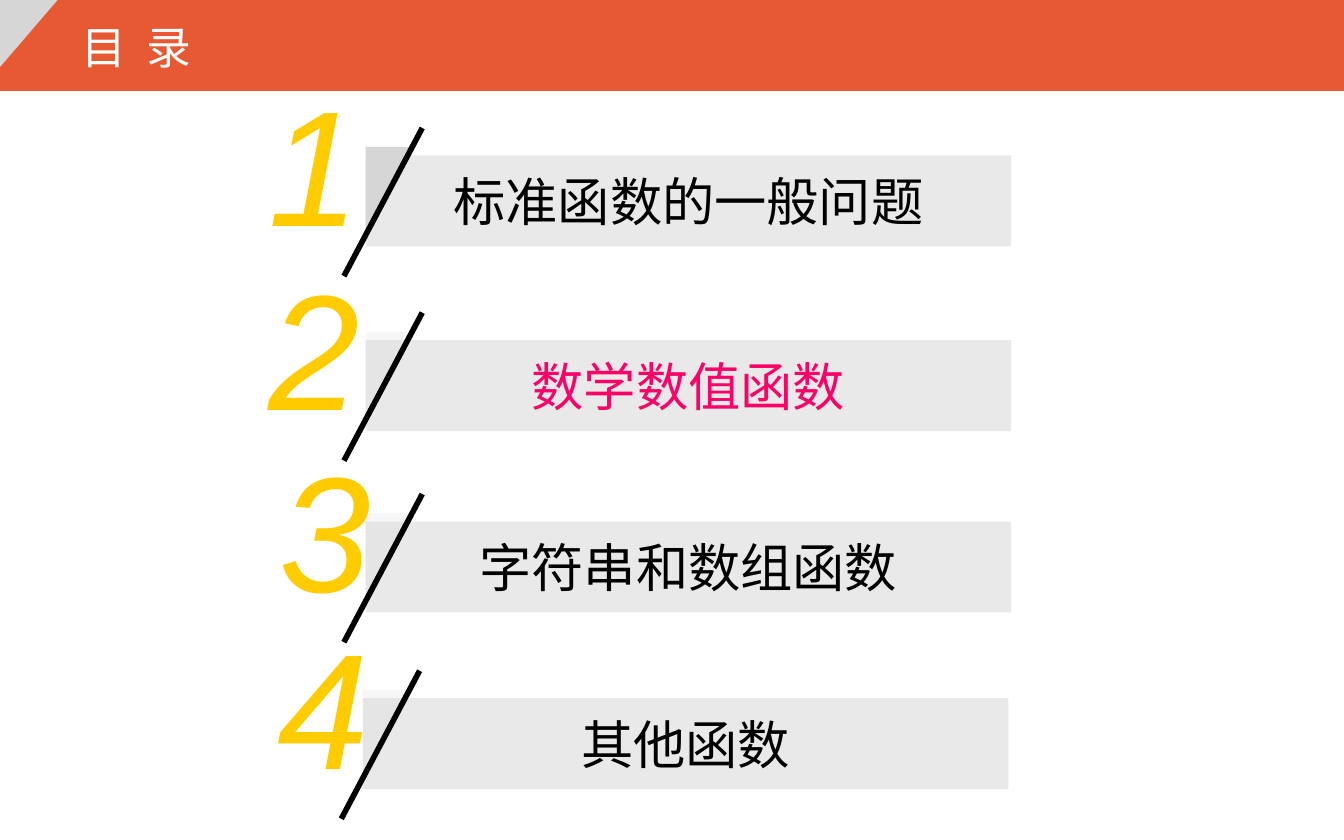
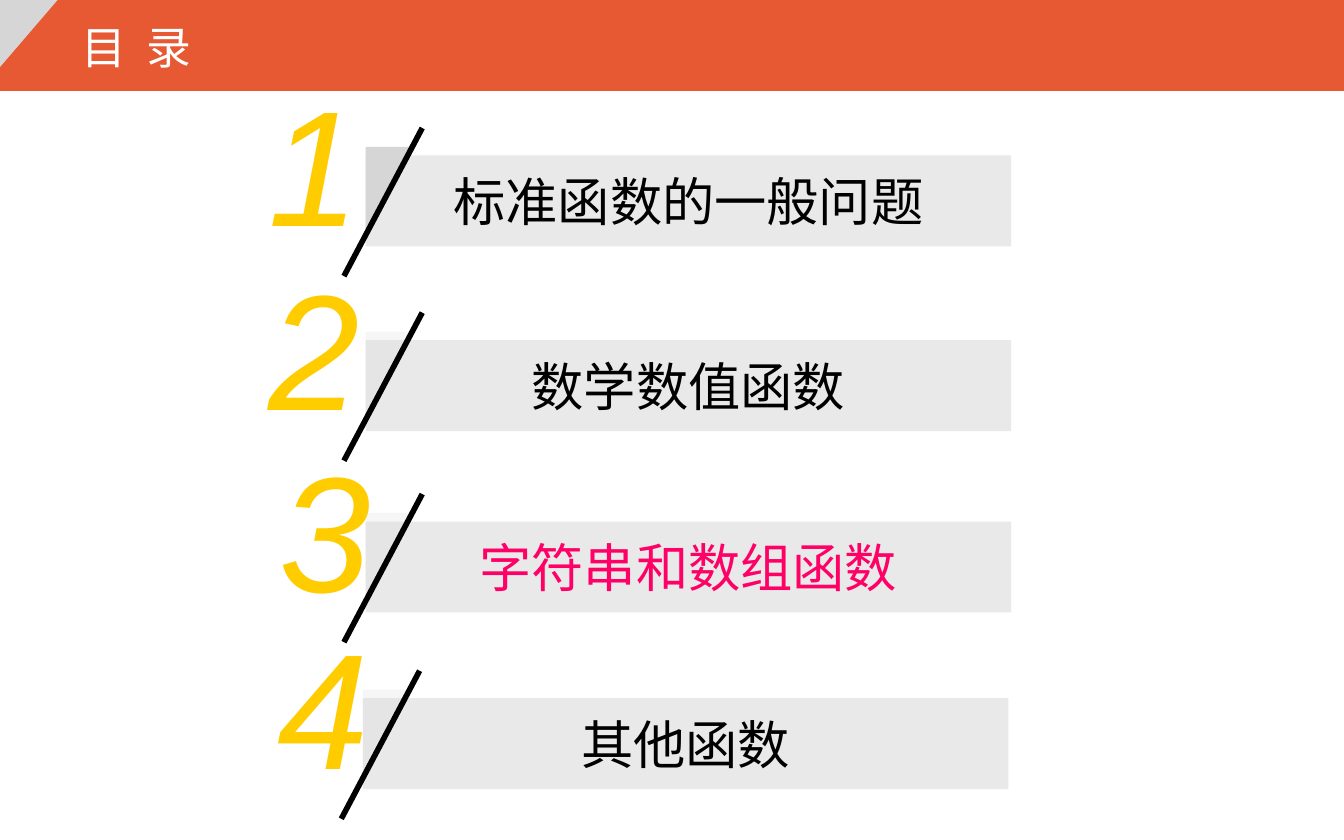
from dataclasses import dataclass

from lxml import etree
from pptx import Presentation
from pptx import util as u
from pptx.dml.color import RGBColor
from pptx.enum import shapes, text
from pptx.oxml import ns

COLOURS = {
    "band": "E75933",
    "corner": "D6D6D6",
    "bar": "949494",
    "number": "FFCC00",
    "ink": "000000",
    "current": "FF0066",
    "title": "FFFFFF",
}
MONO, SANS = "DejaVu Sans Mono", "Arial"
WIDTH, HEIGHT = 25.4, 15.88


@dataclass
class Topic:
    label: str
    left: float
    top: float
    number_left: float
    font: str = MONO
    corner_alpha: int = 20


TOPICS = [
    Topic("标准函数的一般问题", 6.91, 2.94, 4.83, corner_alpha=100),
    Topic("数学数值函数", 6.91, 6.43, 4.83),
    Topic("字符串和数组函数", 6.91, 9.86, 5.03, font=SANS),
    Topic("其他函数", 6.86, 13.2, 5.0, font=SANS),
]


class AgendaDeck:
    def __init__(self):
        self.deck = Presentation()
        self.deck.slide_width, self.deck.slide_height = u.Cm(WIDTH), u.Cm(HEIGHT)
        self.slide = None

    def new_slide(self):
        self.slide = self.deck.slides.add_slide(self.deck.slide_layouts[6])

    def colour(self, name):
        return RGBColor.from_string(COLOURS[name])

    def block(self, parent, preset, box, fill, alpha=100):
        block = parent.add_shape(preset, *map(u.Cm, box))
        block.shadow.inherit = False
        block.fill.solid()
        block.fill.fore_color.rgb = self.colour(fill)
        block.line.fill.background()
        if alpha < 100:
            tint = block._element.spPr.find(".//" + ns.qn("a:srgbClr"))
            etree.SubElement(tint, ns.qn("a:alpha"), val=str(alpha * 1000))
        return block

    def corner(self, parent, box, alpha=100):
        corner = self.block(parent, shapes.MSO_SHAPE.RIGHT_TRIANGLE, box, "corner", alpha)
        corner._element.spPr.find(ns.qn("a:xfrm")).set("flipV", "1")

    def put_words(self, frame, words, size, font, colour):
        frame.text = words
        run = frame.paragraphs[0].runs[0]
        run.font.size, run.font.name = u.Pt(size), font
        run.font.color.rgb = self.colour(colour)
        return run

    def text_box(self, parent, box, words, size, font, colour, wrap):
        frame = parent.add_textbox(*map(u.Cm, box)).text_frame
        frame.word_wrap = wrap
        frame.auto_size = text.MSO_AUTO_SIZE.SHAPE_TO_FIT_TEXT
        return self.put_words(frame, words, size, font, colour)

    def slash(self, parent, *ends):
        slash = parent.add_connector(shapes.MSO_CONNECTOR.STRAIGHT, *map(u.Cm, ends))
        slash.line.color.rgb = self.colour("ink")
        slash.line.width = u.Pt(3)
        etree.SubElement(slash._element.spPr, ns.qn("a:effectLst"))

    def header(self, title):
        parent = self.slide.shapes
        self.block(parent, shapes.MSO_SHAPE.RECTANGLE, (0, 0, WIDTH, 1.72), "band")
        self.corner(parent, (0, 0, 1.09, 1.27))
        run = self.text_box(parent, (1.3, 0.25, 8.6, 1.28), title, 24, MONO, "title", True)
        run._r.get_or_add_rPr().set("spc", "270")

    def topic(self, number, topic, is_current):
        parent = self.slide.shapes.add_group_shape().shapes
        left, top = topic.left, topic.top
        digit = self.text_box(parent, (topic.number_left, top - 1.89, 2.24, 3.99),
                              str(number), 88, SANS, "number", False)
        digit.font.italic = True
        bar = self.block(parent, shapes.MSO_SHAPE.RECTANGLE, (left, top, 12.2, 1.72), "bar", 20)
        frame = bar.text_frame
        frame.word_wrap = True
        frame.vertical_anchor = text.MSO_ANCHOR.MIDDLE
        self.put_words(frame, topic.label, 28, MONO if is_current else topic.font,
                       "current" if is_current else "ink")
        frame.paragraphs[0].alignment = text.PP_ALIGN.CENTER
        self.corner(parent, (left, top - 0.16, 0.94, 1.69), topic.corner_alpha)
        self.slash(parent, left + 1.07, top - 0.52, left - 0.41, top + 2.28)

    def agenda(self, current):
        self.new_slide()
        self.header("目 录")
        for number, topic in enumerate(TOPICS, 1):
            self.topic(number, topic, number == current)


def main():
    agenda_deck = AgendaDeck()
    for current in (2, 3):
        agenda_deck.agenda(current)
    agenda_deck.deck.save("out.pptx")


if __name__ == "__main__":
    main()
